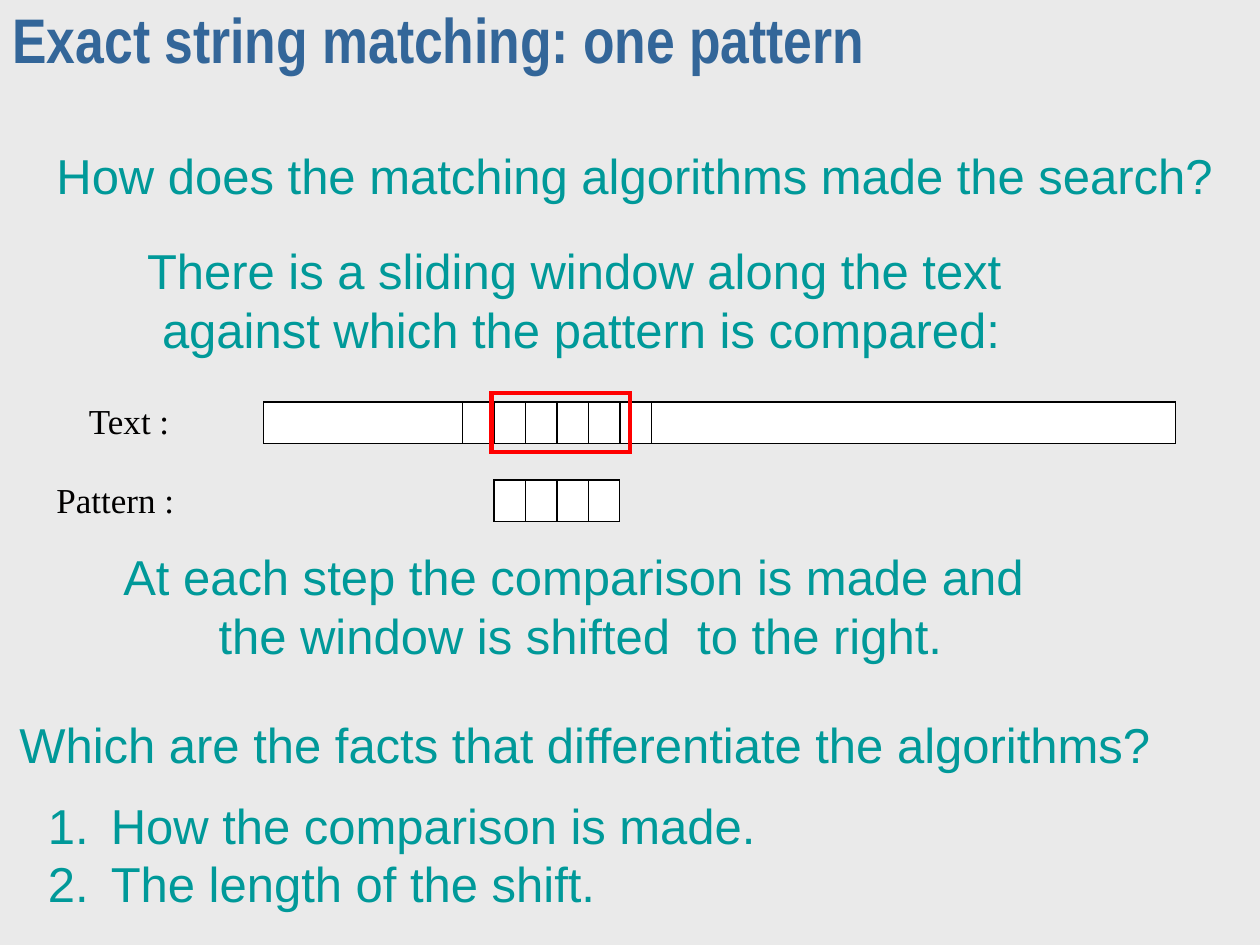
from dataclasses import dataclass

from lxml.etree import SubElement
from pptx import Presentation
from pptx.dml.color import RGBColor
from pptx.enum.shapes import MSO_CONNECTOR, MSO_SHAPE
from pptx.enum.text import MSO_ANCHOR, MSO_AUTO_SIZE, PP_ALIGN
from pptx.oxml.ns import qn
from pptx.util import Inches, Pt


@dataclass(frozen=True)
class Theme:
    background: RGBColor = RGBColor(0xEA, 0xEA, 0xEA)
    title: RGBColor = RGBColor(0x33, 0x66, 0x99)
    body: RGBColor = RGBColor(0x00, 0x99, 0x99)
    label: RGBColor = RGBColor(0x01, 0x00, 0x00)
    cell: RGBColor = RGBColor(0xFF, 0xFF, 0xFF)
    outline: RGBColor = RGBColor(0x00, 0x00, 0x00)
    window: RGBColor = RGBColor(0xFF, 0x00, 0x00)
    title_size: int = 36
    body_size: int = 28
    label_size: int = 20
    line_height: float = 1.2


THEME = Theme()
CELL_WIDTH = 0.25
STRIP_HEIGHT = 0.33


def place(shape, left, top, width, height):
    shape.left, shape.top = Inches(left), Inches(top)
    shape.width, shape.height = Inches(width), Inches(height)


def style_paragraph(paragraph, font_name, size, color, alignment):
    paragraph.alignment = alignment
    paragraph.space_before = Pt(0)
    paragraph.line_spacing = Pt(size * THEME.line_height)
    paragraph.font.name = font_name
    paragraph.font.size = Pt(size)
    paragraph.font.color.rgb = color


def fill_title(slide, text):
    title = slide.shapes.title
    place(title, 0, 0, 10, 0.75)
    frame = title.text_frame
    frame.text = text
    frame.auto_size = MSO_AUTO_SIZE.NONE
    frame.vertical_anchor = MSO_ANCHOR.MIDDLE
    paragraph = frame.paragraphs[0]
    style_paragraph(paragraph, "Arial Narrow", THEME.title_size, THEME.title, PP_ALIGN.LEFT)
    paragraph.line_spacing = 0.7
    paragraph.font.bold = True


def fill_numbered_list(slide, items):
    body = slide.placeholders[1]
    place(body, 0.28, 6.26, 6.2, 1.04)
    frame = body.text_frame
    frame.text = "\n".join(items)
    frame.auto_size = MSO_AUTO_SIZE.NONE
    for paragraph in frame.paragraphs:
        properties = paragraph._p.get_or_add_pPr()
        properties.set("marL", str(Inches(0.5)))
        properties.set("indent", str(-Inches(0.5)))
        SubElement(properties, qn("a:buFont"), typeface="Arial")
        SubElement(properties, qn("a:buAutoNum"), type="arabicPeriod")
        style_paragraph(paragraph, "Arial", THEME.body_size, THEME.body, PP_ALIGN.LEFT)


def add_text(slide, box, lines, font_name, size, color, alignment=PP_ALIGN.CENTER):
    frame = slide.shapes.add_textbox(*map(Inches, box)).text_frame
    frame.word_wrap = False
    frame.auto_size = MSO_AUTO_SIZE.SHAPE_TO_FIT_TEXT
    frame.text = "\n".join(lines)
    for paragraph in frame.paragraphs:
        style_paragraph(paragraph, font_name, size, color, alignment)


def add_statement(slide, box, *lines, alignment=PP_ALIGN.CENTER):
    add_text(slide, box, lines, "Arial", THEME.body_size, THEME.body, alignment)


def add_label(slide, box, text):
    add_text(slide, box, [text], "Times New Roman", THEME.label_size, THEME.label)


def add_rectangle(slide, box, line_color, line_width, fill_color=None):
    rectangle = slide.shapes.add_shape(MSO_SHAPE.RECTANGLE, *map(Inches, box))
    rectangle.shadow.inherit = False
    if fill_color is None:
        rectangle.fill.background()
    else:
        rectangle.fill.solid()
        rectangle.fill.fore_color.rgb = fill_color
    rectangle.line.color.rgb = line_color
    rectangle.line.width = Pt(line_width)
    outline = rectangle._element.spPr.find(qn("a:ln"))
    SubElement(outline, qn("a:miter"), lim="800000")


def add_strip(slide, left, top, width, first_separator, separator_count):
    add_rectangle(slide, (left, top, width, STRIP_HEIGHT), THEME.outline, 0.75, THEME.cell)
    for index in range(separator_count):
        x = Inches(first_separator + index * CELL_WIDTH)
        separator = slide.shapes.add_connector(
            MSO_CONNECTOR.STRAIGHT, x, Inches(top), x, Inches(top + STRIP_HEIGHT)
        )
        separator.line.color.rgb = THEME.outline
        separator.line.width = Pt(0.75)
        SubElement(separator._element.spPr, qn("a:effectLst"))


def main():
    presentation = Presentation()
    presentation.slide_width, presentation.slide_height = Inches(10), Inches(7.5)
    slide = presentation.slides.add_slide(presentation.slide_layouts[1])
    slide.background.fill.solid()
    slide.background.fill.fore_color.rgb = THEME.background

    fill_title(slide, "Exact string matching: one pattern")
    add_statement(
        slide, (0.35, 1.11, 9.4, 0.57),
        "How does the matching algorithms made the search?",
        alignment=PP_ALIGN.LEFT,
    )
    add_statement(
        slide, (1.02, 1.86, 7.18, 1.04),
        "There is a sliding window along the text ",
        "against which the pattern is compared:",
    )

    add_label(slide, (0.6, 3.12, 0.85, 0.44), "Text :")
    add_strip(slide, 2.09, 3.19, 7.24, 3.67, 7)
    add_label(slide, (0.32, 3.75, 1.19, 0.44), "Pattern :")
    add_strip(slide, 3.92, 3.81, 4 * CELL_WIDTH, 4.17, 3)
    add_rectangle(slide, (3.9, 3.12, 1.1, 0.47), THEME.window, 2.5)

    add_statement(
        slide, (0.88, 4.29, 7.45, 1.04),
        "At each step the comparison is made and ",
        "the window is shifted  to the right.",
    )
    add_statement(
        slide, (0.05, 5.62, 9.18, 0.57),
        "Which are the facts that differentiate the algorithms?",
    )
    fill_numbered_list(slide, ["How the comparison is made.", "The length of the shift."])
    presentation.save("out.pptx")


if __name__ == "__main__":
    main()
